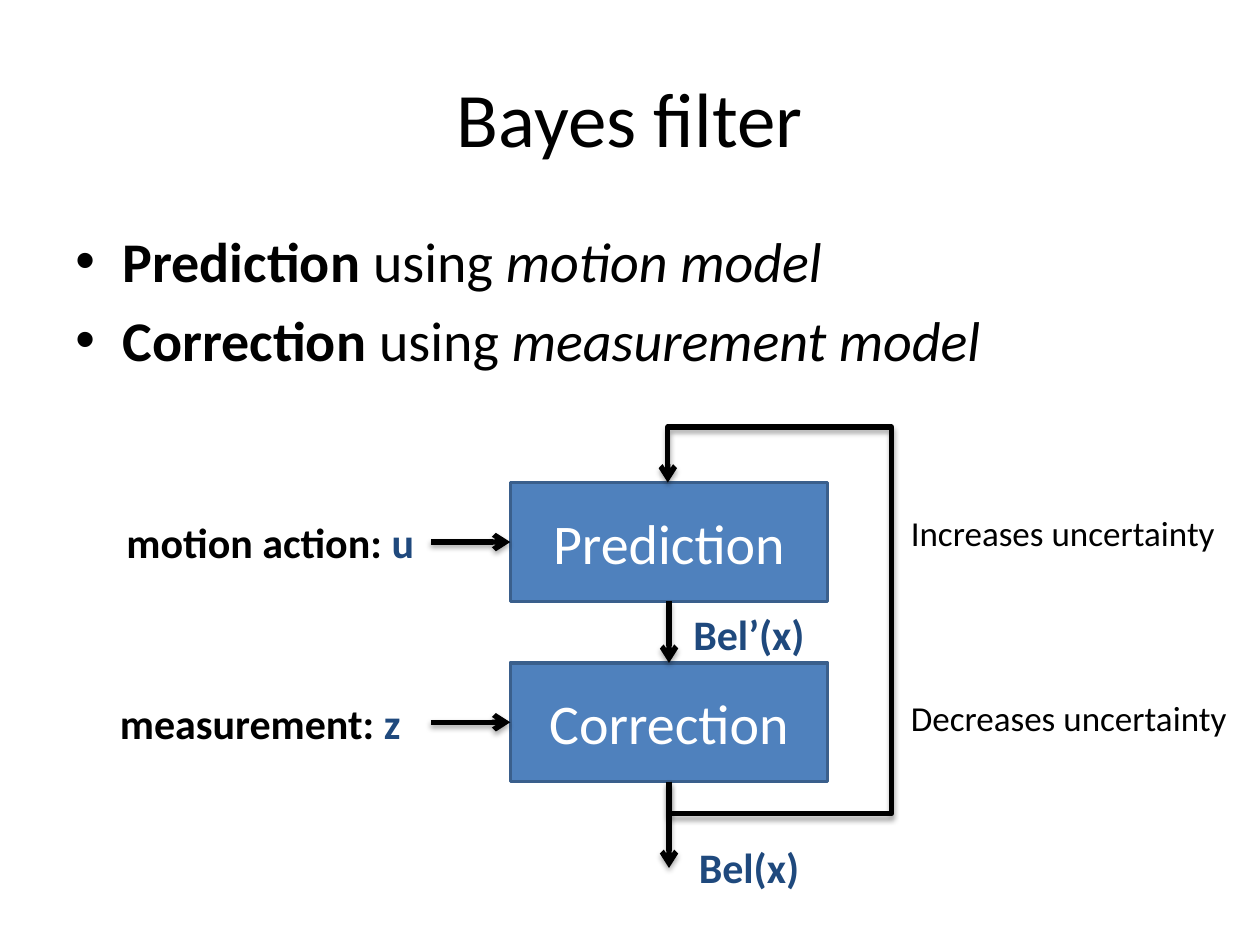
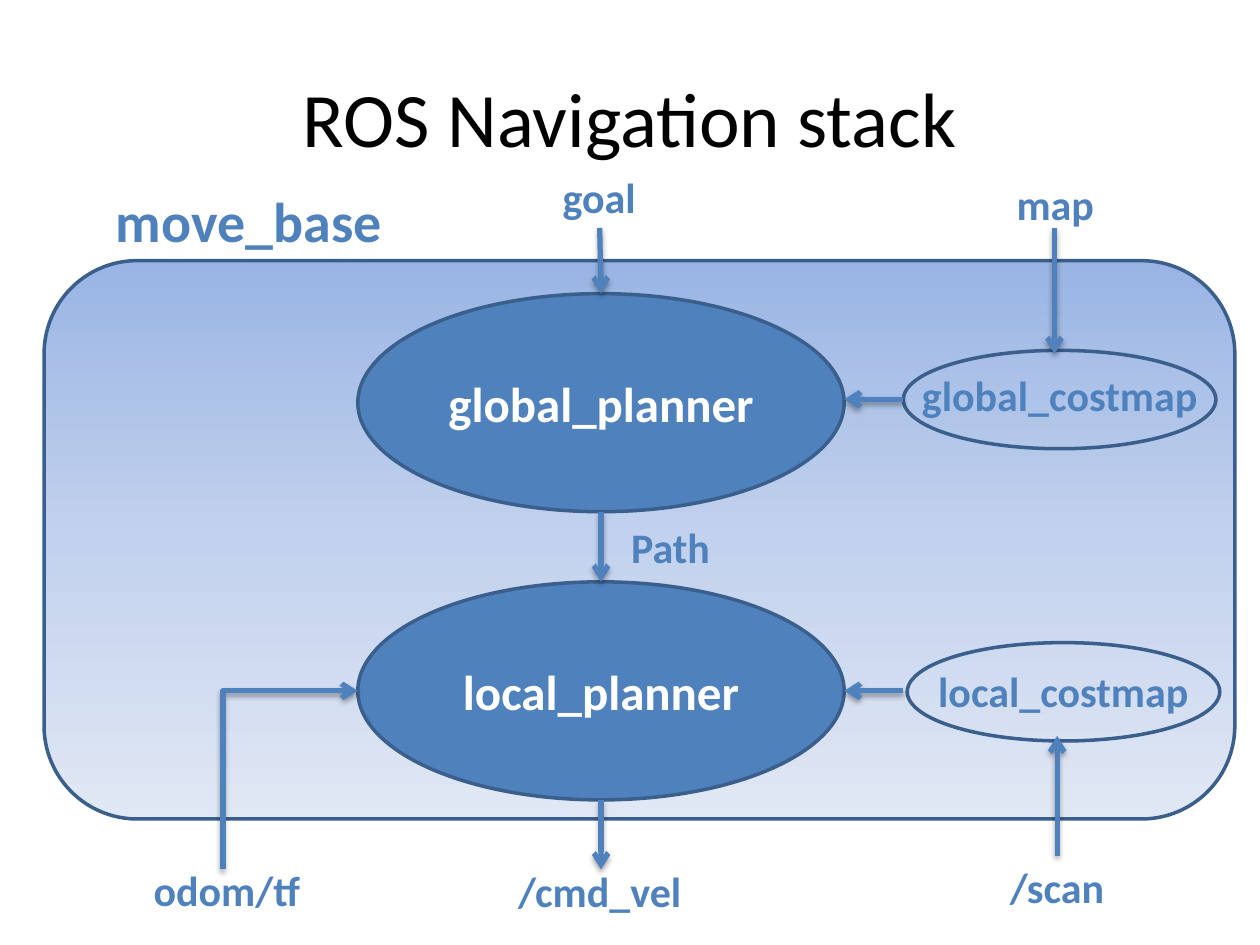
from copy import deepcopy
from lxml.etree import SubElement
from pptx import Presentation
from pptx.dml.color import RGBColor
from pptx.enum.shapes import MSO_CONNECTOR, MSO_SHAPE
from pptx.enum.text import MSO_ANCHOR, PP_ALIGN
from pptx.oxml import parse_xml
from pptx.oxml.ns import nsdecls, qn
from pptx.util import Pt

# Shared look
FONT = "Calibri"
BLACK, WHITE = "000000", "FFFFFF"
BLUE, EDGE, NAVY = "4F81BD", "3A5F8C", "1F497D"
PANEL_STOPS = [(0, "9AB5E4"), (0.5, "C2D1ED"), (1, "E1E8F5")]
TITLE_AREA = (36, 21.6, 648, 90)
SHADOW = (
    f'<a:effectLst {nsdecls("a")}><a:outerShdw blurRad="40000" dist="23000" '
    'dir="5400000" rotWithShape="0"><a:srgbClr val="000000">'
    '<a:alpha val="35000"/></a:srgbClr></a:outerShdw></a:effectLst>'
)

# Bayes filter: runs are (text, style letters, colour)
MODELS = [
    [("Prediction ", "b", BLACK), ("using ", "", BLACK), ("motion model", "i", BLACK)],
    [("Correction ", "b", BLACK), ("using ", "", BLACK), ("measurement model", "i", BLACK)],
]
STEPS = ["Prediction", "Correction"]
STEP_LEFT, STEP_TOP, STEP_WIDTH, STEP_HEIGHT, STEP_PITCH = 291.6, 275.8, 181.4, 67.9, 103
FILTER_LABELS = [
    ((371.5, 477.4, 113, 36), [("Bel(x)", "b", NAVY)]),
    ((371.5, 344.2, 113, 36), [("Bel’(x)", "b", NAVY)]),
    ((54, 291.6, 200.9, 36), [("motion action: ", "b", BLACK), ("u", "b", NAVY)]),
    ((42.5, 395.3, 212.4, 36), [("measurement: ", "b", BLACK), ("z", "b", NAVY)]),
]
EFFECTS = [("Increases uncertainty", 288.7), ("Decreases uncertainty", 394.6)]

# Navigation stack
PLANNERS = ["global_planner", "local_planner"]
PLANNER_LEFT, PLANNER_TOP, PLANNER_WIDTH, PLANNER_HEIGHT, PLANNER_PITCH = 204.5, 167.8, 277.9, 124.6, 164.7
COSTMAPS = [(516.2, 200.2), (518.4, 367.2)]
COSTMAP_SIZE = (178.6, 56.2)
STACK_LABELS = [  # text, area, size, alignment
    ("move_base", (40.3, 103, 203.8, 46), 32, PP_ALIGN.CENTER),
    ("goal", (290.9, 94.3, 103, 36), 24, PP_ALIGN.CENTER),
    ("map", (551.5, 98.6, 103, 36), 24, PP_ALIGN.CENTER),
    ("Path", (353.5, 294.5, 159.8, 36), 24, PP_ALIGN.LEFT),
    ("global_costmap", (513.4, 207.4, 184.3, 36), 24, PP_ALIGN.CENTER),
    ("local_costmap", (515.5, 376.6, 184.3, 36), 24, PP_ALIGN.CENTER),
    ("odom/tf", (65.5, 490.3, 128.2, 36), 24, PP_ALIGN.CENTER),
    ("/cmd_vel", (274.3, 491, 136.8, 36), 24, PP_ALIGN.CENTER),
    ("/scan", (533.5, 488.9, 141.1, 36), 24, PP_ALIGN.CENTER),
]


def color(value):
    return RGBColor.from_string(value)


def points(values):
    return [Pt(value) for value in values]


def write(frame, paragraphs, size, align=PP_ALIGN.CENTER, anchor=MSO_ANCHOR.TOP):
    """Fill a text frame; each paragraph is a list of (text, style, colour)."""
    frame.word_wrap = True
    frame.vertical_anchor = anchor
    for number, runs in enumerate(paragraphs):
        para = frame.add_paragraph() if number else frame.paragraphs[0]
        para.alignment = align
        for text, style, tint in runs:
            span = para.add_run()
            span.text = text
            span.font.name = FONT
            span.font.size = Pt(size)
            span.font.bold = "b" in style
            span.font.italic = "i" in style
            span.font.color.rgb = color(tint)


def add_text(page, area, paragraphs, size, **layout):
    box = page.shapes.add_textbox(*points(area))
    write(box.text_frame, paragraphs, size, **layout)
    return box


def add_node(page, kind, area, fill=None):
    node = page.shapes.add_shape(kind, *points(area))
    node.shadow.inherit = False
    if fill:
        node.fill.solid()
        node.fill.fore_color.rgb = color(fill)
    else:
        node.fill.background()
    node.line.color.rgb = color(EDGE)
    node.line.width = Pt(2)
    return node


def add_arrow(page, route, tint):
    """Straight connector for two points, open outline for a bent route."""
    if len(route) == 2:
        arrow = page.shapes.add_connector(
            MSO_CONNECTOR.STRAIGHT, *points(route[0] + route[1]))
    else:
        start, *rest = [points(stop) for stop in route]
        builder = page.shapes.build_freeform(*start)
        builder.add_line_segments(rest, close=False)
        arrow = builder.convert_to_shape()
        arrow.fill.background()
    arrow.line.color.rgb = color(tint)
    arrow.line.width = Pt(3)
    SubElement(arrow.line._get_or_add_ln(), qn("a:tailEnd"), type="arrow")
    arrow._element.spPr.append(parse_xml(SHADOW))
    return arrow


def add_page(deck, title):
    page = deck.slides.add_slide(deck.slide_layouts[6])
    add_text(page, TITLE_AREA, [[(title, "", BLACK)]], 44, anchor=MSO_ANCHOR.MIDDLE)
    return page


def build_filter(deck):
    page = add_page(deck, "Bayes filter")

    # Bulleted models
    box = add_text(page, (36, 126, 648, 356.4), MODELS, 32, align=PP_ALIGN.LEFT)
    for para in box.text_frame.paragraphs:
        para.space_before = Pt(6.4)
        props = para._p.get_or_add_pPr()
        props.set("marL", str(Pt(27)))
        props.set("indent", str(-Pt(27)))
        SubElement(props, qn("a:buFont"), typeface="Arial")
        SubElement(props, qn("a:buChar"), char="•")

    # Steps with their inputs
    steps = []
    for number, name in enumerate(STEPS):
        top = STEP_TOP + number * STEP_PITCH
        step = add_node(page, MSO_SHAPE.RECTANGLE,
                        (STEP_LEFT, top, STEP_WIDTH, STEP_HEIGHT), BLUE)
        write(step.text_frame, [[(name, "", WHITE)]], 32, anchor=MSO_ANCHOR.MIDDLE)
        middle = top + STEP_HEIGHT / 2
        entry = add_arrow(page, [(246.2, middle), (STEP_LEFT, middle)], BLACK)
        entry.end_connect(step, 1)
        steps.append(step)

    # Flow downwards and loop back
    prediction, correction = steps
    center = STEP_LEFT + STEP_WIDTH / 2
    bottom = STEP_TOP + STEP_PITCH + STEP_HEIGHT
    flow = add_arrow(page, [(center, STEP_TOP + STEP_HEIGHT),
                            (center, STEP_TOP + STEP_PITCH)], BLACK)
    flow.begin_connect(prediction, 2)
    flow.end_connect(correction, 0)
    result = add_arrow(page, [(center, bottom), (center, 496)], BLACK)
    result.begin_connect(correction, 2)
    add_arrow(page, [(center, bottom), (center, 465.1), (509.4, 465.1),
                     (509.4, 244.1), (381.6, 244.1), (381.6, STEP_TOP)], BLACK)

    # Labels
    for area, runs in FILTER_LABELS:
        add_text(page, area, [runs], 24)
    for text, top in EFFECTS:
        add_text(page, (513.4, top, 201.6, 31.7), [[(text, "", BLACK)]], 20,
                 align=PP_ALIGN.LEFT)


def build_stack(deck):
    page = add_page(deck, "ROS Navigation stack")

    # Panel behind the planners
    panel = add_node(page, MSO_SHAPE.ROUNDED_RECTANGLE, (25.2, 149, 680.4, 319))
    panel.fill.gradient()
    panel.fill.gradient_angle = 270
    stops = panel._element.spPr.find(".//" + qn("a:gsLst"))
    stops.insert(1, deepcopy(stops[0]))
    for stop, (position, tint) in zip(panel.fill.gradient_stops, PANEL_STOPS):
        stop.position = position
        stop.color.rgb = color(tint)

    # Planners and costmaps
    for number, name in enumerate(PLANNERS):
        area = (PLANNER_LEFT, PLANNER_TOP + number * PLANNER_PITCH,
                PLANNER_WIDTH, PLANNER_HEIGHT)
        planner = add_node(page, MSO_SHAPE.OVAL, area, BLUE)
        write(planner.text_frame, [[(name, "b", WHITE)]], 28, anchor=MSO_ANCHOR.MIDDLE)
    for corner in COSTMAPS:
        add_node(page, MSO_SHAPE.OVAL, corner + COSTMAP_SIZE)

    # Arrows
    center = PLANNER_LEFT + PLANNER_WIDTH / 2
    right = PLANNER_LEFT + PLANNER_WIDTH
    local_top = PLANNER_TOP + PLANNER_PITCH
    local_middle = local_top + PLANNER_HEIGHT / 2
    routes = [
        [(342.7, 130.3), (center, PLANNER_TOP)],
        [(center, PLANNER_TOP + PLANNER_HEIGHT), (center, local_top)],
        [(center, local_top + PLANNER_HEIGHT), (center, 496.8)],
        [(516.2, 228.2), (right, 228.2)],
        [(516.2, local_middle), (right, local_middle)],
        [(602.6, 130.3), (602.6, 202.3)],
        [(604.1, 488.9), (604.1, 420.5)],
        [(127.4, 496.8), (127.4, local_middle), (PLANNER_LEFT, local_middle)],
    ]
    for route in routes:
        add_arrow(page, route, BLUE)

    # Labels
    for text, area, size, align in STACK_LABELS:
        add_text(page, area, [[(text, "b", BLUE)]], size, align=align)


def main():
    deck = Presentation()
    deck.slide_width, deck.slide_height = Pt(720), Pt(540)
    build_filter(deck)
    build_stack(deck)
    deck.save("out.pptx")


if __name__ == "__main__":
    main()
